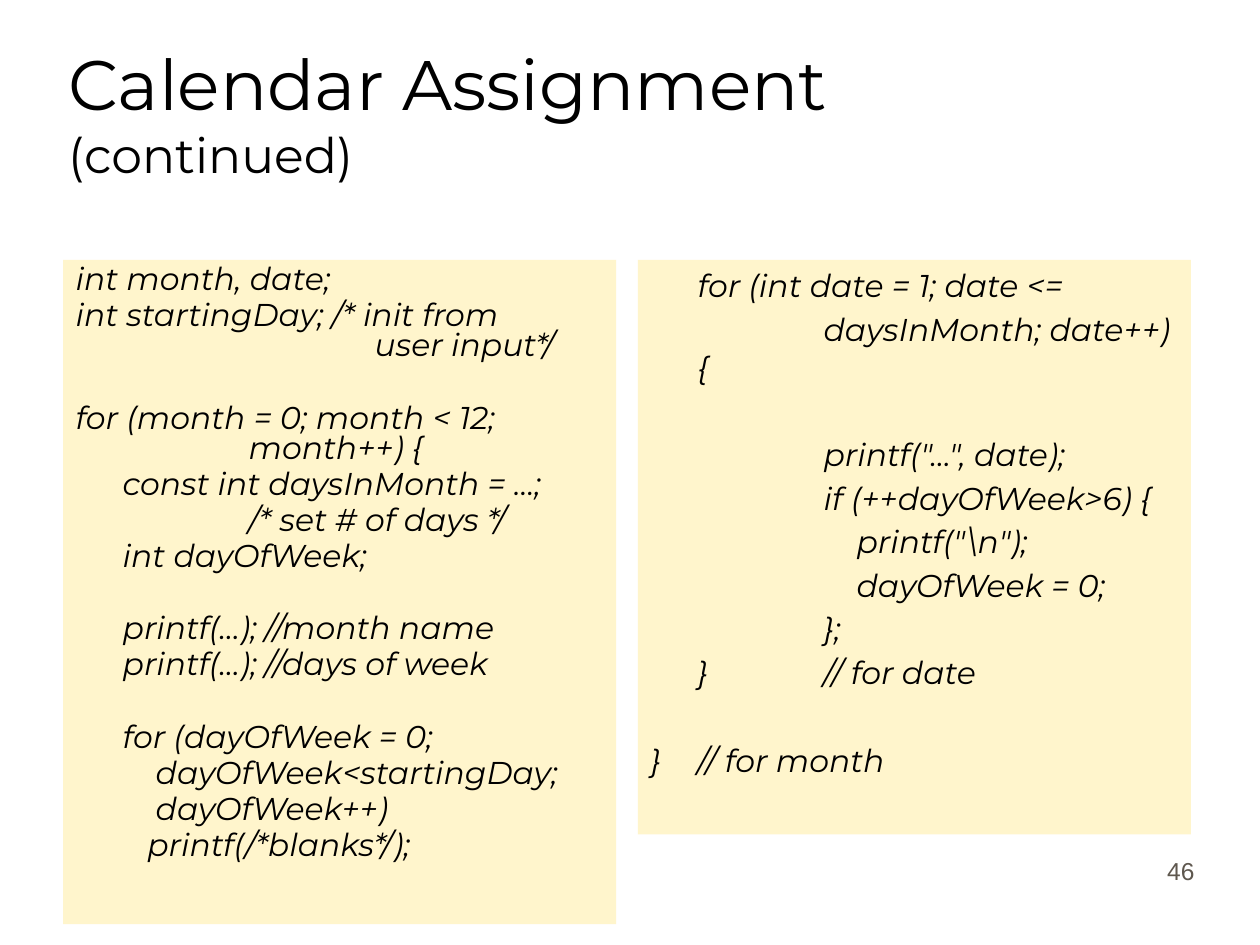
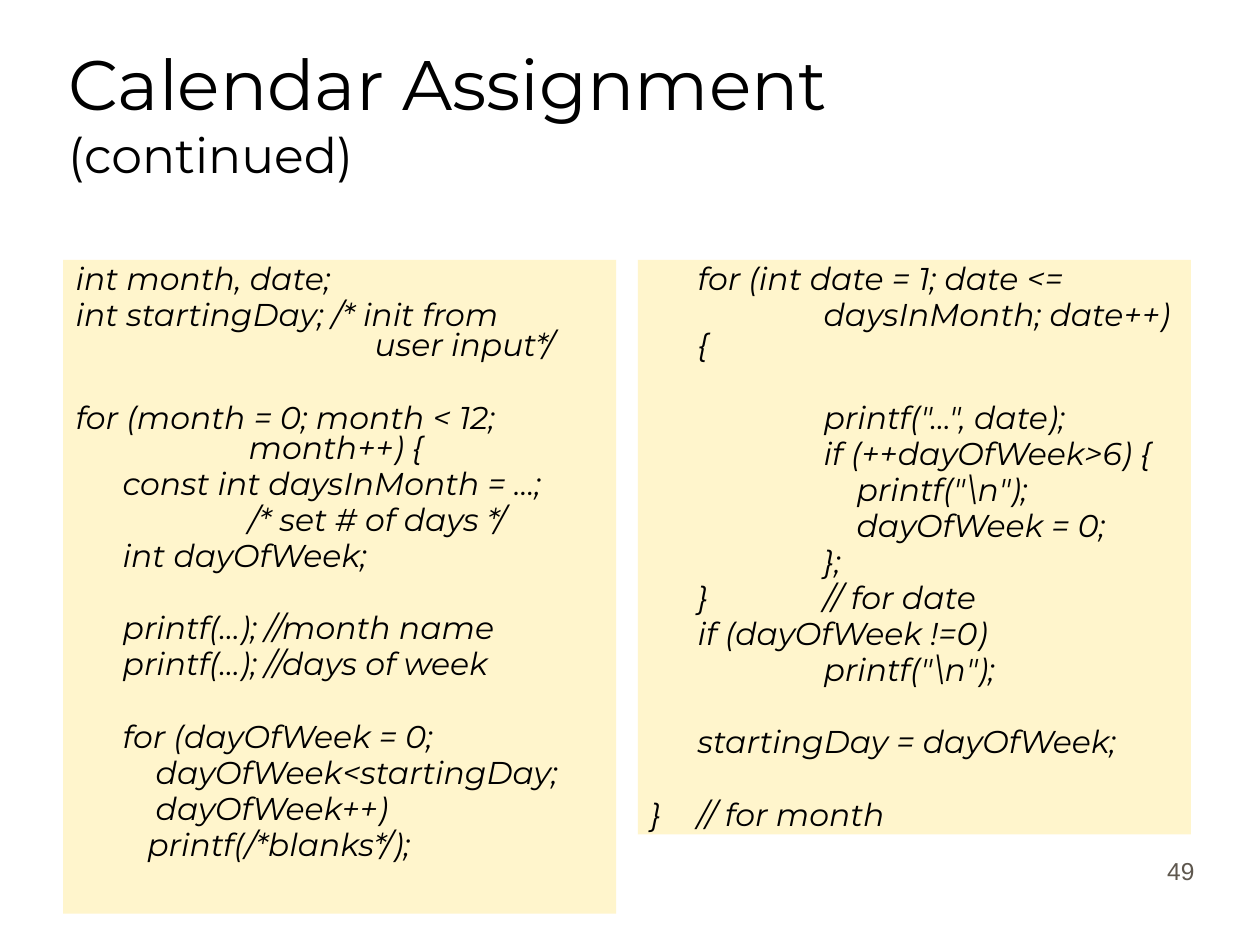
from lxml.etree import SubElement
from pptx import Presentation
from pptx.dml.color import RGBColor
from pptx.enum.text import MSO_ANCHOR, MSO_AUTO_SIZE, PP_ALIGN
from pptx.oxml.ns import qn
from pptx.util import Cm, Pt

# Content: an empty string opens a gap, \v breaks a line within a paragraph
TITLE = ("Calendar Assignment", "(continued)")

MONTH_CODE = [
    "int month, date;",
    "int startingDay; /* init from\v\t\tuser input*/",
    "",
    "for (month = 0; month < 12;\v\tmonth++) {",
    "\tconst int daysInMonth = …;",
    "\t\t/* set # of days */",
    "\tint dayOfWeek;",
    "",
    "\tprintf(…); //month name",
    "\tprintf(…); //days of week",
    "",
    "\tfor (dayOfWeek = 0;",
    "\t    dayOfWeek<startingDay;",
    "\t    dayOfWeek++)",
    "\t   printf(/*blanks*/);",
]
DATE_LOOP = [
    "",
    "\t\tprintf(\"…\", date);",
    "\t\tif (++dayOfWeek>6) {",
    "\t\t    printf(\"\\n\");",
    "\t\t    dayOfWeek = 0;",
    "\t\t};",
    "\t}\t// for date",
]
LOOP_START = "\tfor (int date = 1; date <="
MONTH_END = ["", "}\t// for month"]
DATE_CODE = [LOOP_START, "\t\tdaysInMonth; date++){", *DATE_LOOP, *MONTH_END]
DATE_CODE_FINAL = [
    LOOP_START,
    "\t\tdaysInMonth; date++) {",
    *DATE_LOOP,
    "\tif (dayOfWeek !=0)",
    "\t\tprintf(\"\\n\");",
    "",
    "\tstartingDay = dayOfWeek;",
    *MONTH_END,
]

# Each panel: code, height in cm, line spacing
PAGES = [
    {"number": "46", "panels": [(MONTH_CODE, 13.39, 0.8), (DATE_CODE, 11.58, 1.0)]},
    {"number": "49", "panels": [(MONTH_CODE, 13.18, 0.8), (DATE_CODE_FINAL, 11.58, 0.8)]},
]

# Shared style
FONT, NUMBER_FONT = "Montserrat", "Arial"
BLACK, CREAM, GREY = "000000", "FFF5CC", "5E574E"
PANEL_LEFT, PANEL_TOP, PANEL_WIDTH, PANEL_GAP = 1.27, 5.24, 11.15, 0.44
HANGING, TAB = Cm(0.95), Cm(2.54)
LINE_HEIGHT, PARAGRAPH_GAP = 21.9, 3.3


def color(value):
    return RGBColor.from_string(value)


def place(box, left, top, width, height):
    box.left, box.top = Cm(left), Cm(top)
    box.width, box.height = Cm(width), Cm(height)


def set_font(font, size, name=FONT, shade=BLACK, italic=False):
    font.name, font.size, font.italic = name, Pt(size), italic
    font.color.rgb = color(shade)


def prepare_frame(box, anchor):
    frame = box.text_frame
    frame.word_wrap = True
    frame.auto_size = MSO_AUTO_SIZE.NONE
    frame.vertical_anchor = anchor
    return frame


def fill_title(box):
    place(box, 1.12, 0.64, 21.59, 3.18)
    para = prepare_frame(box, MSO_ANCHOR.BOTTOM).paragraphs[0]
    para.alignment = PP_ALIGN.LEFT
    heading, remark = TITLE
    for text, size in ((heading, 40), (remark, 28)):
        if text == remark:
            para.add_line_break()
        span = para.add_run()
        span.text = text
        set_font(span.font, size)


def format_code(para, spacing):
    properties = para._p.get_or_add_pPr()
    properties.set("marL", str(HANGING))
    properties.set("indent", str(-HANGING))
    properties.set("defTabSz", str(TAB))
    SubElement(properties, qn("a:buNone"))
    para.line_spacing = spacing
    set_font(para.font, 18, italic=True)


def fill_panel(box, column, code, height, spacing):
    place(box, PANEL_LEFT + column * (PANEL_WIDTH + PANEL_GAP), PANEL_TOP,
          PANEL_WIDTH, height)
    box.fill.solid()
    box.fill.fore_color.rgb = color(CREAM)
    frame = prepare_frame(box, MSO_ANCHOR.TOP)
    blank_line = LINE_HEIGHT * spacing + PARAGRAPH_GAP
    before = 0
    for index, line in enumerate(code):
        if not line:
            before += blank_line
            continue
        para = frame.add_paragraph() if index else frame.paragraphs[0]
        para.text = line
        format_code(para, spacing)
        para.space_before = Pt(before)
        before = PARAGRAPH_GAP


def add_page_number(page, number):
    box = page.shapes.add_textbox(Cm(19.05), Cm(16.71), Cm(5.28), Cm(1.27))
    para = prepare_frame(box, MSO_ANCHOR.BOTTOM).paragraphs[0]
    para.text = number
    para.alignment = PP_ALIGN.RIGHT
    set_font(para.font, 14, NUMBER_FONT, GREY)


def main():
    deck = Presentation()
    deck.slide_width, deck.slide_height = Cm(25.4), Cm(19.05)
    two_content = deck.slide_layouts[3]
    for content in PAGES:
        page = deck.slides.add_slide(two_content)
        fill_title(page.shapes.title)
        for column, panel in enumerate(content["panels"]):
            fill_panel(page.placeholders[column + 1], column, *panel)
        add_page_number(page, content["number"])
    deck.save("out.pptx")


if __name__ == "__main__":
    main()
